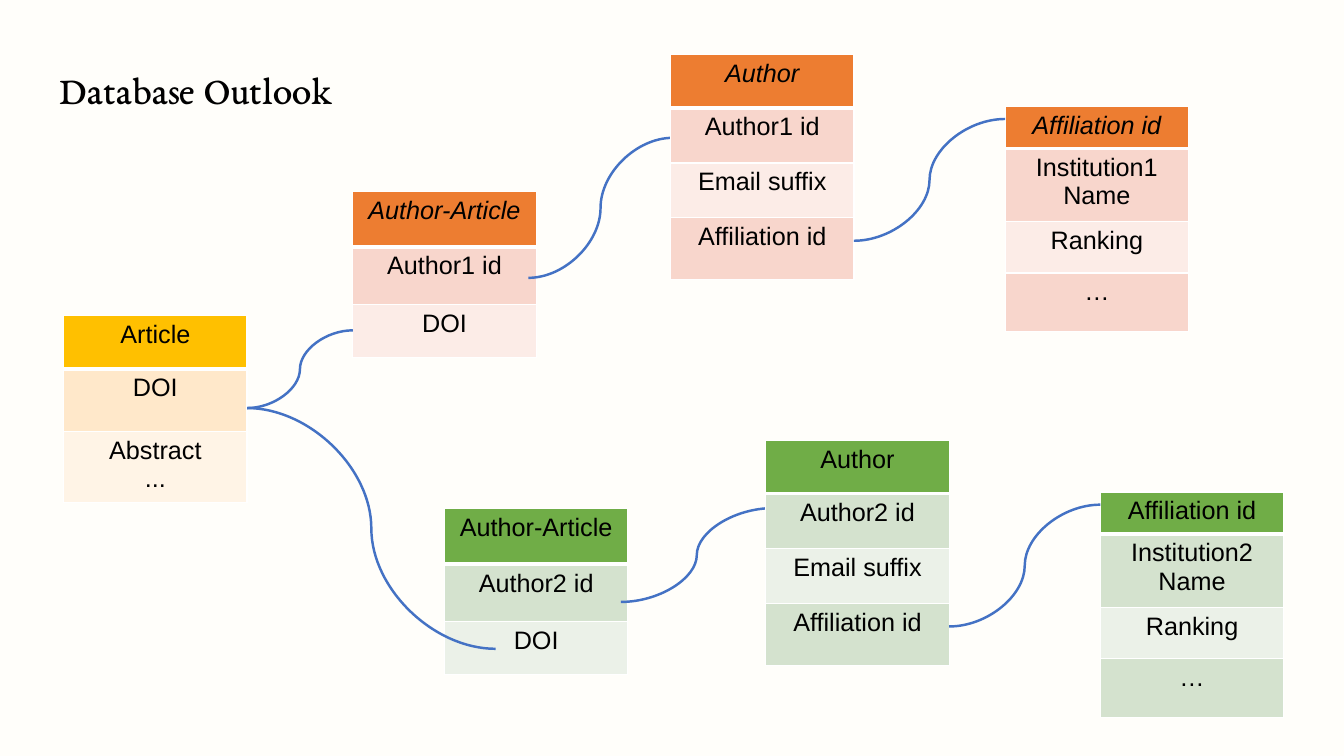
from dataclasses import dataclass

from lxml import etree
from pptx import Presentation
from pptx.dml.color import RGBColor
from pptx.enum import shapes, text
from pptx.oxml import ns
from pptx.util import Pt


@dataclass(frozen=True)
class Palette:
    header: str
    dark: str
    light: str
    italic: bool = False


@dataclass(frozen=True)
class Theme:
    background: str = "FFFEFA"
    ink: str = "000000"
    border: str = "FFFFFF"
    link: str = "4472C4"
    title_font: str = "EB Garamond"
    body_font: str = "Arial"
    title_size: float = 28
    body_size: float = 18
    link_width: float = 1.75
    yellow: Palette = Palette("FFC000", "FFE8CA", "FFF4E6")
    orange: Palette = Palette("ED7D31", "F8D6CC", "FCECE7", True)
    green: Palette = Palette("70AD47", "D4E2CE", "EBF1E8")


THEME = Theme()
TABLE_W = 131
ARTICLE_ROWS = (38, 45, 46.5)
LINK_ROWS = (39.5, 41, 38)
AUTHOR_ROWS = (38, 39.5, 39, 44.5)
AFFILIATION_ROWS = (30, 52.5, 36.5, 42)


def rgb(value):
    return RGBColor.from_string(value)


def set_font(p, name, size):
    p.font.name, p.font.size = name, Pt(size)
    p.font.color.rgb = rgb(THEME.ink)


def add_title(s, left, top, width, height, title):
    sp = s.shapes.title
    sp.left, sp.top, sp.width, sp.height = map(Pt, (left, top, width, height))
    tf = sp.text_frame
    tf.text = title
    tf.word_wrap = True
    tf.auto_size = text.MSO_AUTO_SIZE.SHAPE_TO_FIT_TEXT
    tf.vertical_anchor = text.MSO_ANCHOR.TOP
    p = tf.paragraphs[0]
    p.alignment = text.PP_ALIGN.LEFT
    set_font(p, THEME.title_font, THEME.title_size)


def add_borders(cell, top, bottom):
    tc_pr = cell._tc.get_or_add_tcPr()
    for side, width in (("L", 1), ("R", 1), ("T", top), ("B", bottom)):
        ln = etree.SubElement(tc_pr, ns.qn(f"a:ln{side}"), w=str(Pt(width)))
        fill = etree.SubElement(ln, ns.qn("a:solidFill"))
        etree.SubElement(fill, ns.qn("a:srgbClr"), val=THEME.border)


def add_entity(s, left, top, heights, fields, palette):
    """Draw a database entity: a header row above shaded field rows."""
    frame = s.shapes.add_table(len(fields), 1, Pt(left), Pt(top),
                               Pt(TABLE_W), Pt(sum(heights)))
    table = frame.table
    table.columns[0].width = Pt(TABLE_W)
    for i, (height, field) in enumerate(zip(heights, fields)):
        table.rows[i].height = Pt(height)
        cell = table.cell(i, 0)
        add_borders(cell, 3 if i == 1 else 1, 3 if i == 0 else 1)
        cell.fill.solid()
        shade = palette.dark if i % 2 else palette.light
        cell.fill.fore_color.rgb = rgb(shade if i else palette.header)
        cell.text_frame.text = field
        for p in cell.text_frame.paragraphs:
            p.alignment = text.PP_ALIGN.CENTER
            set_font(p, THEME.body_font, THEME.body_size)
            p.font.bold = False
            p.font.italic = i == 0 and palette.italic


def add_link(s, start, end):
    link = s.shapes.add_connector(shapes.MSO_CONNECTOR.CURVE,
                                  *map(Pt, (*start, *end)))
    link.line.color.rgb = rgb(THEME.link)
    link.line.width = Pt(THEME.link_width)
    etree.SubElement(link._element.spPr, ns.qn("a:effectLst"))


def add_author(s, left, top, number, palette):
    """Draw an author entity linked to its affiliation on the right."""
    x, y = left + 239, top + 37
    add_entity(s, left, top, AUTHOR_ROWS,
               ("Author", f"Author{number} id", "Email suffix", "Affiliation id"),
               palette)
    add_entity(s, x, y, AFFILIATION_ROWS,
               ("Affiliation id", f"Institution{number} Name", "Ranking", "…"),
               palette)
    add_link(s, (left + TABLE_W, top + 133), (x, y + 9))


def add_author_article(s, left, top, number, palette):
    add_entity(s, left, top, LINK_ROWS,
               ("Author-Article", f"Author{number} id", "DOI"), palette)


def build_database_slide(s):
    s.background.fill.solid()
    s.background.fill.fore_color.rgb = rgb(THEME.background)
    add_title(s, 35.5, 43, 383, 41, "Database Outlook")
    add_entity(s, 45.5, 225.5, ARTICLE_ROWS,
               ("Article", "DOI", "Abstract\n..."), THEME.yellow)
    article_doi = (176.5, 291.5)

    add_author_article(s, 252, 137, 1, THEME.orange)
    add_link(s, article_doi, (252, 236))
    add_link(s, (377.5, 198.5), (480.5, 98.5))
    add_author(s, 479, 39, 1, THEME.orange)

    add_author_article(s, 317.5, 363.5, 2, THEME.green)
    add_link(s, article_doi, (354, 463.5))
    add_link(s, (443.5, 430), (552, 363))
    add_author(s, 547, 314.5, 2, THEME.green)


def main():
    prs = Presentation()
    prs.slide_width, prs.slide_height = Pt(960), Pt(540)
    build_database_slide(prs.slides.add_slide(prs.slide_layouts[5]))
    prs.save("out.pptx")


if __name__ == "__main__":
    main()
